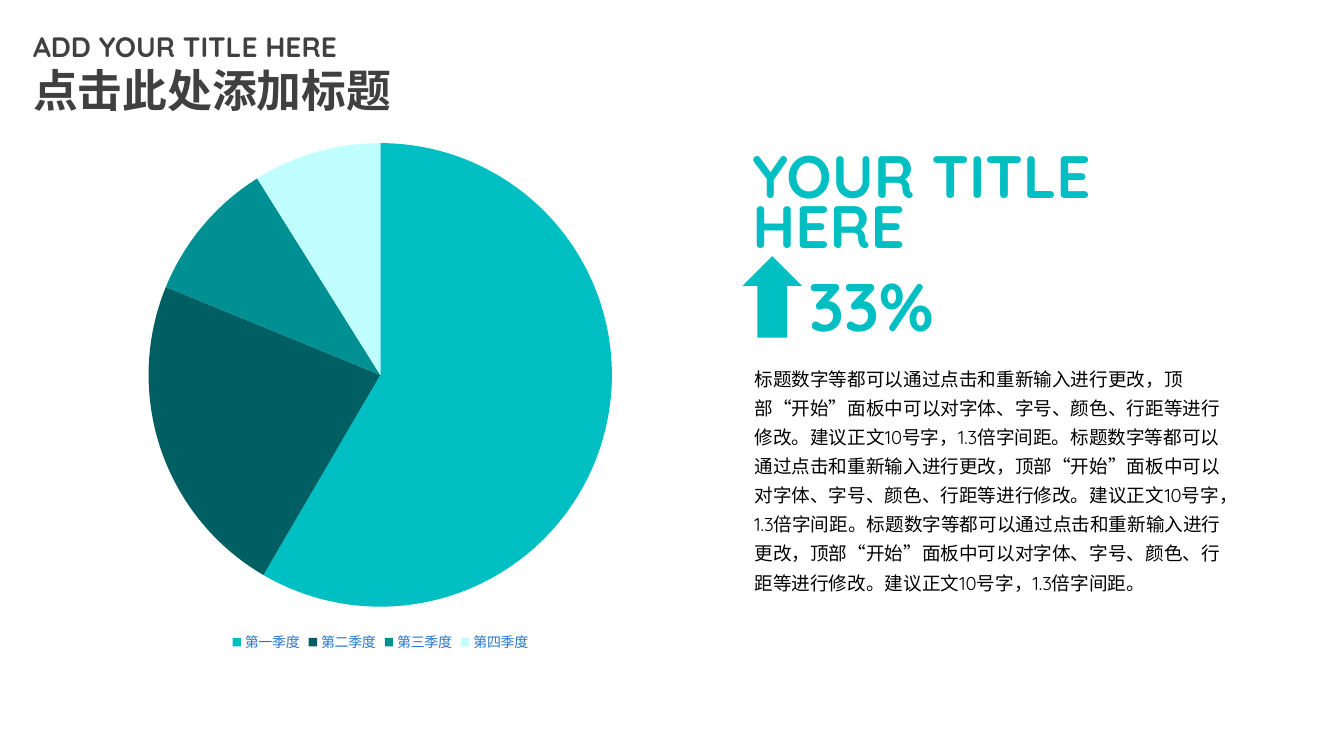
from lxml import etree
from pptx import Presentation
from pptx.chart.data import CategoryChartData
from pptx.dml.color import RGBColor
from pptx.enum.chart import XL_CHART_TYPE, XL_LEGEND_POSITION
from pptx.enum.shapes import MSO_SHAPE
from pptx.oxml.ns import qn
from pptx.util import Inches, Pt

COLORS = {
    "teal": "00BFC3", "deep": "005F62", "mid": "008F92", "pale": "C0FEFF",
    "heading": "404040", "body": "000000", "chart": "103154", "legend": "2777CD",
}
FONT = "Quicksand"
CJK_FONT = "Noto Sans CJK SC"
QUARTERS = [("第一季度", 59, "teal"), ("第二季度", 23, "deep"),
            ("第三季度", 10, "mid"), ("第四季度", 9, "pale")]
PIE_TOP, PIE_SIZE = 0.13, 4.6
BODY = ("标题数字等都可以通过点击和重新输入进行更改，顶部“开始”面板中可以对字体、"
        "字号、颜色、行距等进行修改。建议正文10号字，1.3倍字间距。") * 3


def rgb(name):
    return RGBColor.from_string(COLORS[name])


def style_font(font, size, color, name=FONT, cjk=FONT, bold=False):
    font.size, font.name, font.bold = Pt(size), name, bold
    font.color.rgb = rgb(color)
    latin = font._element.find(qn("a:latin"))
    latin.addnext(etree.Element(qn("a:ea"), typeface=cjk))


def add_text(shapes, box, lines, color, cjk=FONT, bold=False, spacing=None, wrap=True):
    """Add a text box; lines holds (text, size) pairs, one per paragraph."""
    tf = shapes.add_textbox(*map(Inches, box)).text_frame
    tf.word_wrap = wrap
    for i, (text, size) in enumerate(lines):
        p = tf.add_paragraph() if i else tf.paragraphs[0]
        if spacing:
            p.line_spacing = spacing
        r = p.add_run()
        r.text = text
        style_font(r.font, size, color, cjk=cjk, bold=bold)


def add_arrow(shapes, box, color):
    sp = shapes.add_shape(MSO_SHAPE.UP_ARROW, *map(Inches, box))
    sp.shadow.inherit = False
    sp.fill.solid()
    sp.fill.fore_color.rgb = rgb(color)
    sp.line.fill.background()


def set_plot_layout(chart, x, y, w, h):
    """Place the plot area, in fractions of the chart."""
    area = chart._chartSpace.chart.plotArea
    for old in area.findall(qn("c:layout")):
        area.remove(old)
    layout = etree.Element(qn("c:layout"))
    manual = etree.SubElement(layout, qn("c:manualLayout"))
    settings = [("layoutTarget", "inner"), ("xMode", "edge"), ("yMode", "edge"),
                ("x", x), ("y", y), ("w", w), ("h", h)]
    for tag, val in settings:
        etree.SubElement(manual, qn("c:" + tag), val=str(val))
    area.insert(0, layout)


def add_pie(shapes, box):
    data = CategoryChartData()
    data.categories = [name for name, _, _ in QUARTERS]
    data.add_series("Series 1", [value for _, value, _ in QUARTERS])
    chart = shapes.add_chart(XL_CHART_TYPE.PIE, *map(Inches, box), data).chart
    chart.has_title = False
    style_font(chart.font, 10, "chart")
    chart.has_legend = True
    chart.legend.position = XL_LEGEND_POSITION.BOTTOM
    chart.legend.include_in_layout = False
    style_font(chart.legend.font, 10, "legend", CJK_FONT, CJK_FONT)
    series = chart.plots[0].series[0]
    for i, (_, _, color) in enumerate(QUARTERS):
        fmt = series.points[i].format
        fmt.fill.solid()
        fmt.fill.fore_color.rgb = rgb(color)
        fmt.line.fill.background()
    _, _, width, height = box
    set_plot_layout(chart, (width - PIE_SIZE) / 2 / width, PIE_TOP / height,
                    PIE_SIZE / width, PIE_SIZE / height)


def main():
    prs = Presentation()
    prs.slide_width, prs.slide_height = Inches(13.34), Inches(7.5)
    s = prs.slides.add_slide(prs.slide_layouts[6])
    add_text(s.shapes, (0.23, 0.24, 5.44, 0.98),
             [("ADD YOUR TITLE HERE", 20), ("点击此处添加标题", 32)], "heading", bold=True)
    add_pie(s.shapes, (-0.14, 1.29, 7.83, 5.22))
    add_text(s.shapes, (7.37, 1.52, 4.77, 0.6), [("YOUR TITLE HERE", 42.7)],
             "teal", bold=True, spacing=0.7)
    growth = s.shapes.add_group_shape().shapes
    add_text(growth, (7.93, 2.57, 1.53, 0.91), [("33%", 48)], "teal", bold=True, wrap=False)
    add_arrow(growth, (7.37, 2.54, 0.59, 0.81), "teal")
    add_text(s.shapes, (7.39, 3.53, 4.99, 2.43), [(BODY, 13.3)], "body",
             cjk=CJK_FONT, spacing=Pt(20.8))
    prs.save("out.pptx")


if __name__ == "__main__":
    main()
